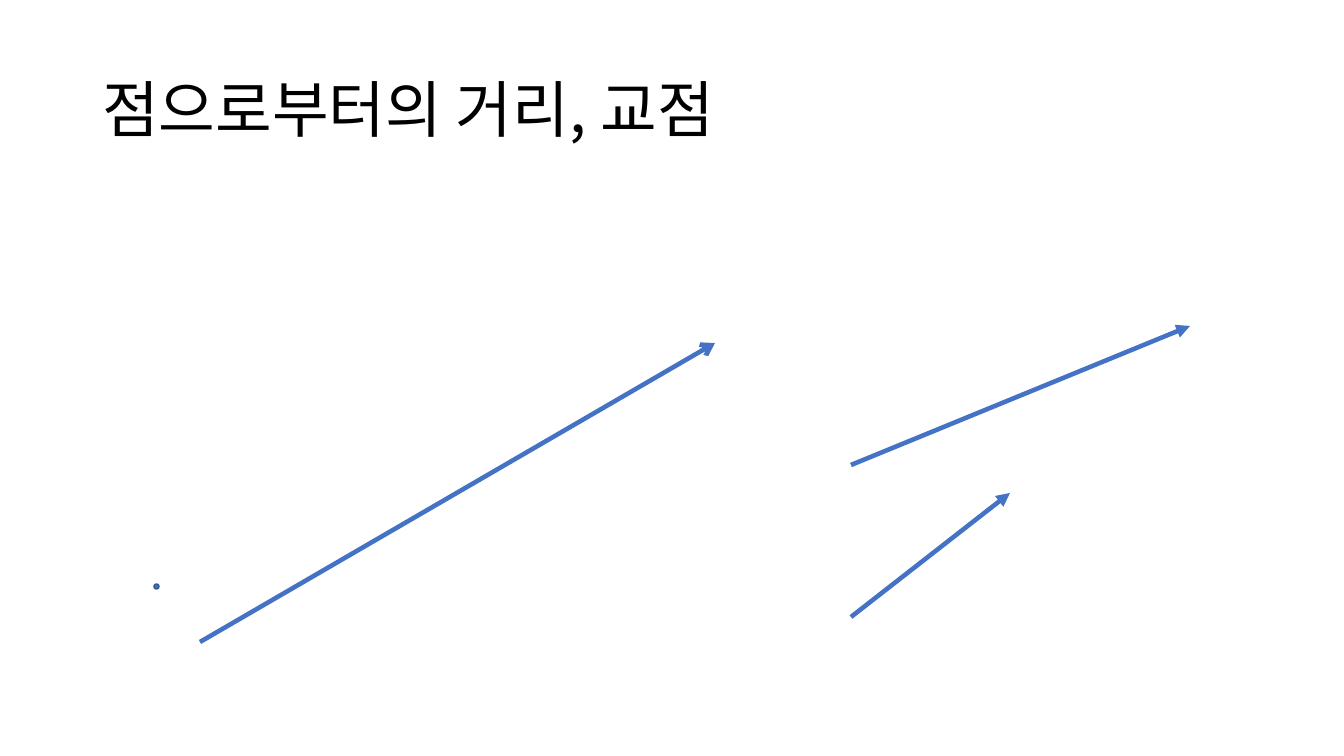
"""Builds the slide on distance from a point and intersection."""
from pptx import Presentation
from pptx.dml.color import RGBColor
from pptx.enum.shapes import MSO_CONNECTOR, MSO_SHAPE
from pptx.enum.text import MSO_ANCHOR, PP_ALIGN
from pptx.oxml.ns import qn
from pptx.util import Pt
from lxml import etree

STRAIGHT = MSO_CONNECTOR.STRAIGHT
OVAL = MSO_SHAPE.OVAL
MIDDLE = MSO_ANCHOR.MIDDLE
LEFT = PP_ALIGN.LEFT

PIXEL = 914400 / 100.8
FONT = "Noto Sans CJK KR"
BLUE, DARK_BLUE, BLACK = "4472C4", "325491", "000000"

TITLE = "점으로부터의 거리, 교점"
TITLE_BOX = (92, 40, 1159, 146)
POINT_BOX = (154, 584, 5, 5)
VECTORS = [
    ((200, 642), (715, 343), "arrow"),
    ((851, 465), (1190, 326), "triangle"),
    ((851, 617), (1010, 493), "triangle"),
]


def px(*lengths):
    return [round(length * PIXEL) for length in lengths]


def color(value):
    return RGBColor.from_string(value)


def write_text(shape, text, size, fill, font=FONT, anchor=MIDDLE, align=LEFT, spacing=0.9):
    frame = shape.text_frame
    frame.word_wrap = True
    frame.vertical_anchor = anchor
    paragraph = frame.paragraphs[0]
    paragraph.alignment = align
    paragraph.line_spacing = spacing
    run = paragraph.add_run()
    run.text = text
    run.font.size = Pt(size)
    run.font.name = font
    run.font.color.rgb = color(fill)
    etree.SubElement(run.font._element, qn("a:ea"), typeface=font)


def add_vector(slide, start, end, head):
    vector = slide.shapes.add_connector(STRAIGHT, *px(*start, *end))
    vector.line.color.rgb = color(BLUE)
    vector.line.width = Pt(3.25)
    etree.SubElement(vector.line._get_or_add_ln(), qn("a:tailEnd"), type=head)
    etree.SubElement(vector._element.spPr, qn("a:effectLst"))


def add_point(slide, box):
    point = slide.shapes.add_shape(OVAL, *px(*box))
    point.shadow.inherit = False
    point.fill.solid()
    point.fill.fore_color.rgb = color(BLUE)
    point.line.color.rgb = color(DARK_BLUE)
    point.line.width = Pt(1)


def main():
    presentation = Presentation()
    presentation.slide_width, presentation.slide_height = px(1344, 756)
    slide = presentation.slides.add_slide(presentation.slide_layouts[5])

    title = slide.shapes.title
    title.left, title.top, title.width, title.height = px(*TITLE_BOX)
    write_text(title, TITLE, size=44, fill=BLACK)

    add_point(slide, POINT_BOX)
    for start, end, head in VECTORS:
        add_vector(slide, start, end, head)

    presentation.save("out.pptx")


if __name__ == "__main__":
    main()
